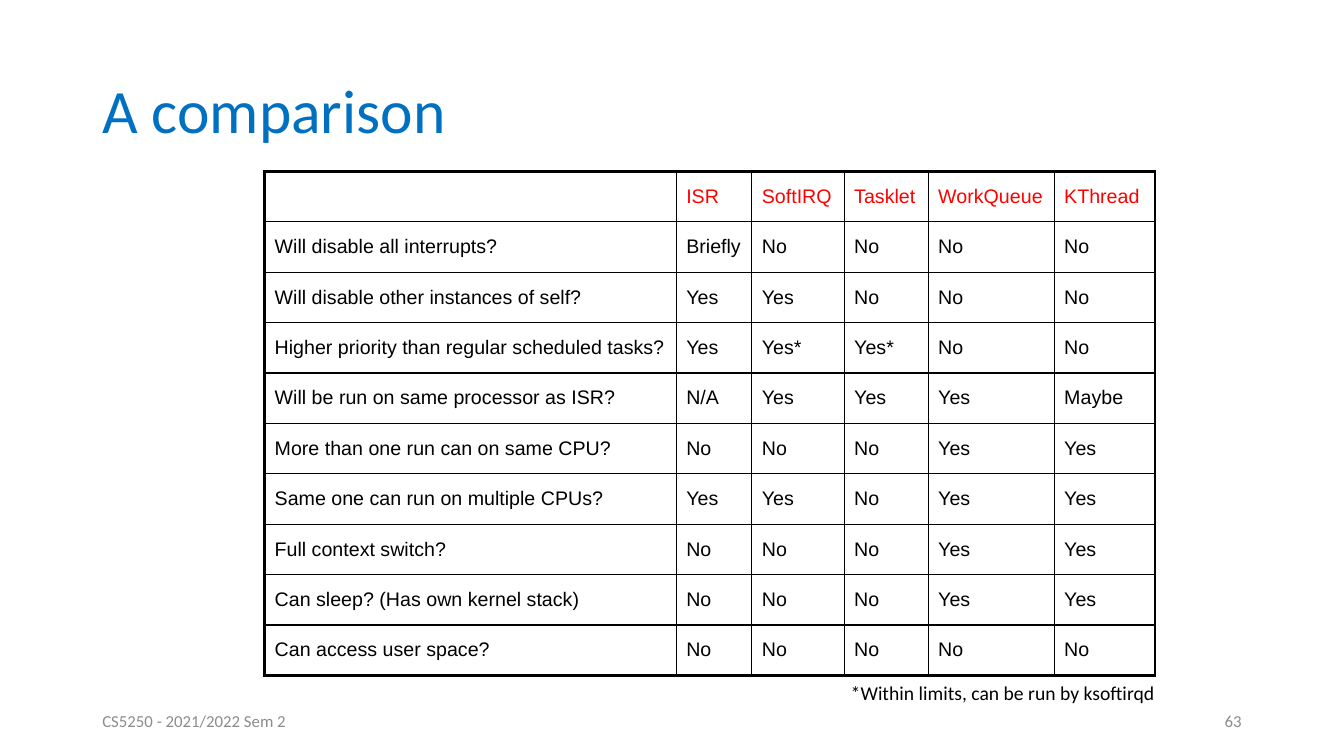
from lxml import etree
from pptx import Presentation
from pptx import util as u
from pptx.dml.color import RGBColor
from pptx.enum import text
from pptx.oxml import ns

BLUE = RGBColor(0x00, 0x70, 0xC0)
GREY = RGBColor(0x8C, 0x8C, 0x8C)
RED = RGBColor(0xFF, 0x00, 0x00)
BLACK = RGBColor(0x00, 0x00, 0x00)
WHITE = RGBColor(0xFF, 0xFF, 0xFF)

# Grid of 160 columns by 90 rows
WIDE, HIGH = u.Inches(13.33), u.Inches(7.5)
COLS, ROWS = 160, 90
THIN, THICK = u.Pt(1), u.Pt(2.25)

MIDDLE = text.MSO_ANCHOR.MIDDLE
RIGHT = text.PP_ALIGN.RIGHT

HEADS = ["", "ISR", "SoftIRQ", "Tasklet", "WorkQueue", "KThread"]
FACTS = [
    ["Will disable all interrupts?", "Briefly", "No", "No", "No", "No"],
    ["Will disable other instances of self?", "Yes", "Yes", "No", "No", "No"],
    ["Higher priority than regular scheduled tasks?", "Yes", "Yes*", "Yes*", "No", "No"],
    ["Will be run on same processor as ISR?", "N/A", "Yes", "Yes", "Yes", "Maybe"],
    ["More than one run can on same CPU?", "No", "No", "No", "Yes", "Yes"],
    ["Same one can run on multiple CPUs?", "Yes", "Yes", "No", "Yes", "Yes"],
    ["Full context switch?", "No", "No", "No", "Yes", "Yes"],
    ["Can sleep? (Has own kernel stack)", "No", "No", "No", "Yes", "Yes"],
    ["Can access user space?", "No", "No", "No", "No", "No"],
]


class Deck:
    """Holds the style and the current slide."""

    def __init__(self):
        self.show = Presentation()
        self.show.slide_width, self.show.slide_height = WIDE, HIGH
        self.slide = self.show.slides.add_slide(self.show.slide_layouts[6])

    def area(self, col, row, wide, high):
        return [round(n * side / parts) for n, side, parts in
                ((col, WIDE, COLS), (row, HIGH, ROWS),
                 (wide, WIDE, COLS), (high, HIGH, ROWS))]

    def words(self, par, line, color, **form):
        run = par.add_run()
        run.text = line
        run.font.color.rgb = color
        for name, value in form.items():
            setattr(run.font, name, value)

    def label(self, line, area, size, color, align=None, space=None, **frame):
        box = self.slide.shapes.add_textbox(*self.area(*area)).text_frame
        form = {"word_wrap": True, "vertical_anchor": MIDDLE, **frame}
        for name, value in form.items():
            setattr(box, name, value)
        par = box.paragraphs[0]
        par.alignment, par.line_spacing = align, space
        self.words(par, line, color, size=u.Pt(size), name="Calibri")

    def edge(self, cell, sides):
        props = cell._tc.get_or_add_tcPr()
        for side, width in sides.items():
            line = etree.SubElement(props, ns.qn("a:ln" + side), w=str(width))
            fill = etree.SubElement(line, ns.qn("a:solidFill"))
            etree.SubElement(fill, ns.qn("a:srgbClr"), val=str(BLACK))

    def table(self, data, col, row, widths, high):
        last, end = len(data) - 1, len(widths) - 1
        area = self.area(col, row, sum(widths), high * len(data))
        grid = self.slide.shapes.add_table(len(data), len(widths), *area).table
        grid.first_row = grid.horz_banding = False
        for part, wide in zip(grid.columns, widths):
            part.width = self.area(0, 0, wide, 0)[2]
        for r, line in enumerate(data):
            for c, entry in enumerate(line):
                cell = grid.cell(r, c)
                cell.vertical_anchor = MIDDLE
                # Thick frame outside, thin lines inside
                outer = {"L": c == 0, "R": c == end, "T": r == 0, "B": r == last}
                self.edge(cell, {k: THICK if out else THIN for k, out in outer.items()})
                cell.fill.solid()
                cell.fill.fore_color.rgb = WHITE
                if entry:
                    self.words(cell.text_frame.paragraphs[0], entry,
                               BLACK if r else RED, size=u.Pt(14), name="Arial")


def main():
    deck = Deck()
    # Title
    deck.label("A comparison", (11, 4.8, 138, 17.4), 44, BLUE, space=0.9)
    # Footer and slide number
    deck.label("CS5250 - 2021/2022 Sem 2", (11, 83.4, 36, 4.8), 12, GREY)
    deck.label("63", (113, 83.4, 36, 4.8), 12, GREY, align=RIGHT)
    # Comparison table
    deck.table([HEADS] + FACTS, 31.5, 20.4, [49, 9, 11, 10, 15, 12], 6)
    # Footnote
    deck.label("*Within limits, can be run by ksoftirqd", (100.1, 80.5, 40.6, 4),
               14, BLACK, word_wrap=False, vertical_anchor=text.MSO_ANCHOR.TOP,
               auto_size=text.MSO_AUTO_SIZE.SHAPE_TO_FIT_TEXT)
    deck.show.save("out.pptx")


if __name__ == "__main__":
    main()
